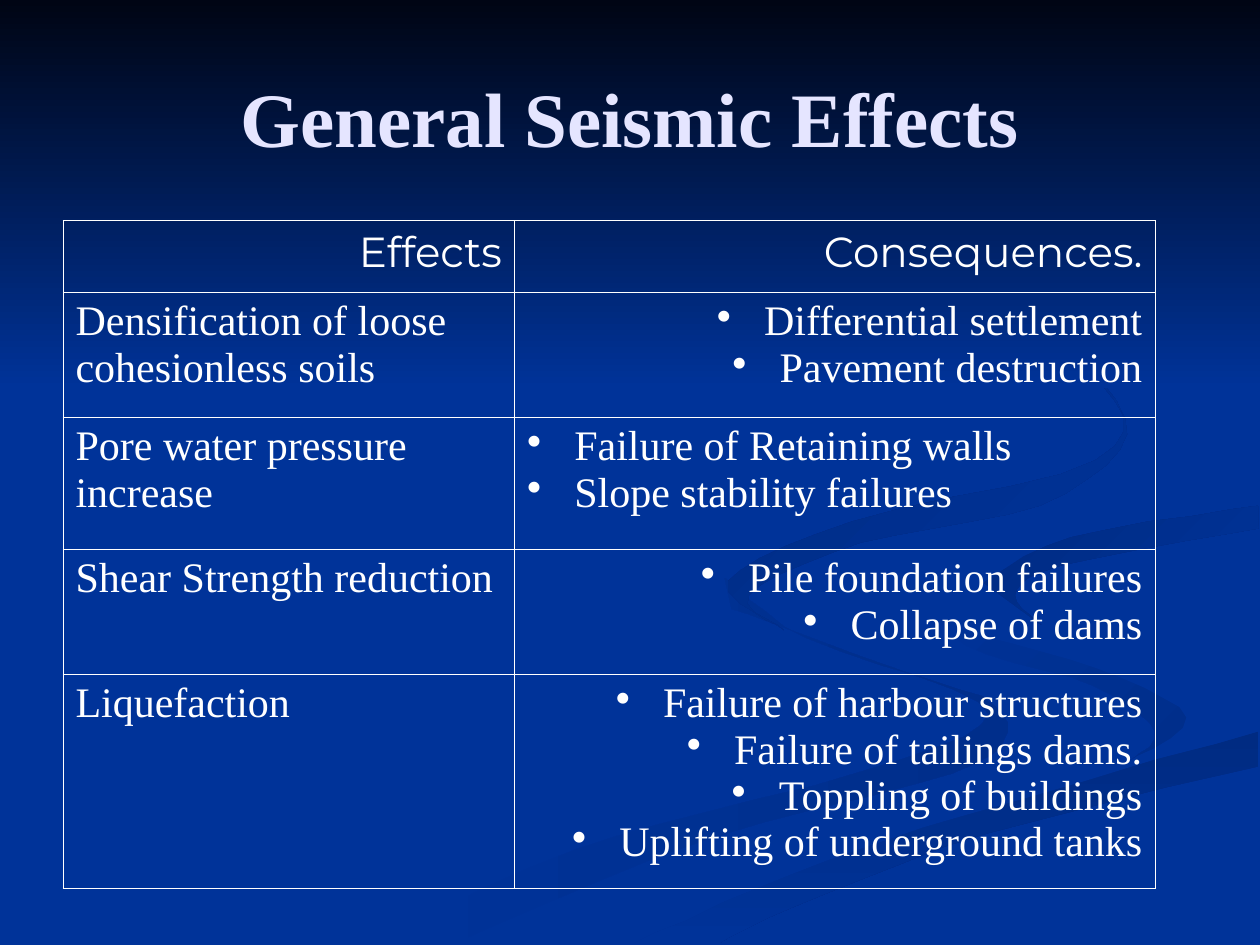
from lxml import etree
from pptx import Presentation, util as u
from pptx.dml.color import RGBColor
from pptx.enum import text
from pptx.oxml.ns import qn

# Content
TITLE = "General Seismic Effects"
HEADS = ["Effects", "Consequences."]
L, R = text.PP_ALIGN.LEFT, text.PP_ALIGN.RIGHT
# effect, hanging indent on it, alignment of its consequences, consequences
ROWS = [
    ("Densification of loose cohesionless soils", False, R,
     ["Differential settlement", "Pavement destruction"]),
    ("Pore water pressure increase", False, L,
     ["Failure of Retaining walls", "Slope stability failures"]),
    ("Shear Strength reduction", True, R,
     ["Pile foundation failures", "Collapse of dams"]),
    ("Liquefaction", True, R,
     ["Failure of harbour structures", "Failure of tailings dams.",
      "Toppling of buildings", "Uplifting of underground tanks"]),
]

# Look and sizes, in points
THEME = {"back": "003399", "night": "000514", "shade": "002B82", "faint": "002E8B",
         "title": "E5E5FF", "text": "FFFFFF", "line": "FFFFFF",
         "big": 44, "body": 24, "serif": "Times New Roman", "sans": "Montserrat"}
WIDE, HIGH = 720, 540
COLS = [258, 366]
TALL = [41, 71.3, 75.6, 71.3, 122.4]
HANG, RULE, STEPS = 27, 0.45, 5

# Curves that neighbouring ribbons share
BEND = [(522, 334), (546, 358), (627, 382), (678, 410), (644, 436)]
FOOT = [(362, 539), (454, 499), (551, 466), (719, 418)]
NECK = [(562, 333), (612, 307), (719, 289)]

# Backdrop ribbons: first colour, last colour, clockwise angle, edges
WAVES = [
    ("back", "faint", 0, [
        [(562, 398), (462, 365), (414, 330)],
        [(418, 348), (489, 374), (565, 408), (492, 441), (330, 485), (216, 539)],
        [(260, 539), (406, 479), (544, 442), (576, 418), (562, 398)]]),
    ("back", "faint", 45, [
        BEND, [(644, 436), (660, 418), (625, 392), (552, 369), (522, 334)]]),
    ("shade", "back", 90, [
        FOOT, [(719, 438), (565, 476), (454, 518), (411, 539)]]),
    ("back", "back", 0, [
        BEND, [(644, 436), (507, 472), (343, 539)], FOOT,
        [(719, 387), (624, 366), (562, 333)], NECK,
        [(719, 279), (598, 299), (527, 321)]]),
    ("shade", "back", 45, [
        NECK, [(719, 302), (607, 323), (580, 340), (595, 357)]]),
    ("shade", "back", 45, [
        [(448, 360), (416, 332), (487, 298), (626, 263), (631, 220), (549, 168)],
        [(616, 205), (644, 248), (594, 289), (492, 310), (428, 340), (448, 360)]]),
    ("night", "back", 90, [[(0, 0), (0, 222)], [(WIDE, 222), (WIDE, 0)]]),
]


def rgb(name):
    return RGBColor.from_string(THEME[name])


def smooth(knots):
    """Points of a Catmull-Rom curve through the knots."""
    if len(knots) < 3:
        return knots
    ends = [knots[0], *knots, knots[-1]]
    dots = []
    for quad in zip(ends, ends[1:], ends[2:], ends[3:]):
        for step in range(STEPS):
            t = step / STEPS
            dots.append(tuple(
                b + t * (c - a + t * (2 * a - 5 * b + 4 * c - d
                                      + t * (3 * b - a - 3 * c + d))) / 2
                for a, b, c, d in zip(*quad)))
    return dots + [knots[-1]]


def ribbon(slide, first, last, angle, edges):
    dots = [dot for edge in edges for dot in smooth(edge)]
    path = slide.shapes.build_freeform(*dots[0], scale=float(u.Pt(1)))
    path.add_line_segments(dots[1:], close=True)
    shape = path.convert_to_shape()
    shape.shadow.inherit = False
    shape.line.fill.background()
    if first == last:
        shape.fill.solid()
        shape.fill.fore_color.rgb = rgb(first)
        return
    shape.fill.gradient()
    shape.fill.gradient_angle = -angle % 360
    for stop, tint, spot in zip(shape.fill.gradient_stops, (first, last), (0, 1)):
        stop.color.rgb = rgb(tint)
        stop.position = spot


def write(para, words, tint="text", **form):
    run = para.add_run()
    run.text = words
    run.font.color.rgb = rgb(tint)
    form = {"size": u.Pt(THEME["body"]), "name": THEME["serif"], **form}
    for key, val in form.items():
        setattr(run.font, key, val)


def indent(para, bullet=False):
    props = para._p.get_or_add_pPr()
    props.set("marL", str(u.Pt(HANG)))
    props.set("indent", str(-u.Pt(HANG)))
    if bullet:
        tint = etree.SubElement(props, qn("a:buClr"))
        etree.SubElement(tint, qn("a:srgbClr"), val=THEME["text"])
        etree.SubElement(props, qn("a:buChar"), char="•")


def frame(cell):
    props = cell._tc.get_or_add_tcPr()
    for side in ("lnL", "lnR", "lnT", "lnB"):
        line = etree.SubElement(props, qn("a:" + side), w=str(u.Pt(RULE)))
        fill = etree.SubElement(line, qn("a:solidFill"))
        etree.SubElement(fill, qn("a:srgbClr"), val=THEME["line"])
    cell.fill.background()


def main():
    deck = Presentation()
    deck.slide_width, deck.slide_height = u.Pt(WIDE), u.Pt(HIGH)
    slide = deck.slides.add_slide(deck.slide_layouts[6])

    # Backdrop
    slide.background.fill.solid()
    slide.background.fill.fore_color.rgb = rgb("back")
    for wave in WAVES:
        ribbon(slide, *wave)

    # Title
    box = slide.shapes.add_textbox(*map(u.Pt, (36, 21.6, 648, 90))).text_frame
    box.word_wrap = True
    box.vertical_anchor = text.MSO_ANCHOR.MIDDLE
    box.paragraphs[0].alignment = text.PP_ALIGN.CENTER
    write(box.paragraphs[0], TITLE, "title", size=u.Pt(THEME["big"]), bold=True)

    # Table grid
    area = map(u.Pt, (36, 126, sum(COLS), sum(TALL)))
    table = slide.shapes.add_table(len(TALL), len(COLS), *area).table
    table.first_row = table.horz_banding = False
    for col, size in zip(table.columns, COLS):
        col.width = u.Pt(size)
    for row, size in zip(table.rows, TALL):
        row.height = u.Pt(size)
    for cell in table.iter_cells():
        frame(cell)

    # Table text
    for col, head in enumerate(HEADS):
        para = table.cell(0, col).text_frame.paragraphs[0]
        para.alignment = R
        indent(para)
        write(para, head, name=THEME["sans"])
    for row, (cause, hang, side, items) in enumerate(ROWS, 1):
        para = table.cell(row, 0).text_frame.paragraphs[0]
        if hang:
            indent(para)
        write(para, cause)
        body = table.cell(row, 1).text_frame
        for num, item in enumerate(items):
            para = body.add_paragraph() if num else body.paragraphs[0]
            para.alignment = side
            indent(para, bullet=True)
            write(para, item)

    deck.save("out.pptx")


if __name__ == "__main__":
    main()
